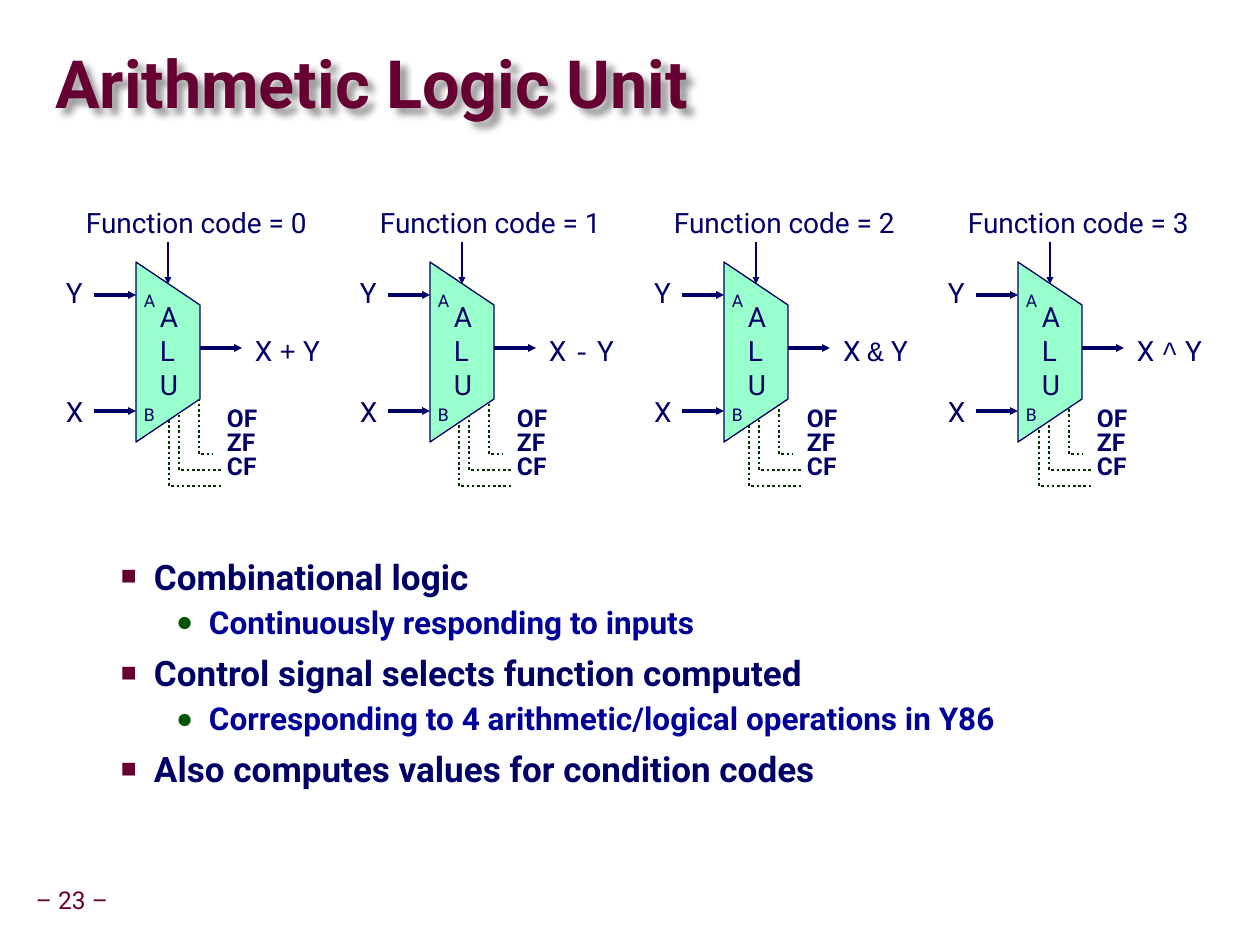
from dataclasses import dataclass

from lxml import etree
from pptx import Presentation
from pptx.dml.color import RGBColor
from pptx.enum.dml import MSO_LINE
from pptx.enum.shapes import MSO_CONNECTOR
from pptx.enum.text import MSO_ANCHOR, MSO_AUTO_SIZE, PP_ALIGN
from pptx.oxml.ns import qn
from pptx.util import Pt

PX = 914400 / 126
STRAIGHT = MSO_CONNECTOR.STRAIGHT
DOTTED = MSO_LINE.ROUND_DOT
LEFT, CENTER = PP_ALIGN.LEFT, PP_ALIGN.CENTER
TOP, MIDDLE = MSO_ANCHOR.TOP, MSO_ANCHOR.MIDDLE
FIT_SHAPE, FIXED = MSO_AUTO_SIZE.SHAPE_TO_FIT_TEXT, MSO_AUTO_SIZE.NONE

UNIT_PITCH, FLAG_PITCH = 294, 290
OPERATORS = ["+", "-", "&", "^"]
FLAGS = ["OF", "ZF", "CF"]
FLAG_WIRES = [(199, 212), (179, 222), (169, 222)]
POINTS = [
    (0, "Combinational logic"),
    (1, "Continuously responding to inputs"),
    (0, "Control signal selects function computed"),
    (1, "Corresponding to 4 arithmetic/logical operations in Y86"),
    (0, "Also computes values for condition codes"),
]


@dataclass(frozen=True)
class Level:
    size: int
    color: str
    bullet: str
    bullet_color: str
    bullet_percent: int
    indent: int
    before: float
    spacing: float


@dataclass(frozen=True)
class Theme:
    font: str = "Roboto"
    symbol_font: str = "Courier New"
    maroon: str = "660033"
    navy: str = "000066"
    green: str = "003300"
    mint: str = "99FFCC"
    title_size: int = 38
    label_size: int = 16
    small_size: int = 14
    port_size: int = 10
    thin: float = 0.75
    dotted: float = 1.5
    thick: float = 2.25
    levels: tuple = (
        Level(20, "000066", "■", "660033", 75, 101, 5.8, 1.0),
        Level(18, "000099", "●", "005400", 90, 156, 2, 1.07),
    )


def emu(px):
    return round(px * PX)


def add_node(parent, tag, **attributes):
    return etree.SubElement(parent, qn(tag), attributes)


class Deck:
    def __init__(self, theme):
        self.theme = theme
        self.deck = Presentation()
        self.deck.slide_width, self.deck.slide_height = emu(1260), emu(945)
        self.page = self.deck.slides.add_slide(self.deck.slide_layouts[1])
        self.shapes = self.page.shapes

    def start_group(self):
        self.shapes = self.page.shapes.add_group_shape().shapes

    def place(self, shape, left, top, width, height):
        shape.left, shape.top = emu(left), emu(top)
        shape.width, shape.height = emu(width), emu(height)

    def span(self, para, text, size, color, bold=False, font=None):
        run = para.add_run()
        run.text = text
        run.font.name = font or self.theme.font
        run.font.size, run.font.bold = Pt(size), bold
        run.font.color.rgb = RGBColor.from_string(color)

    def frame(self, shape, horizontal, vertical, anchor=TOP, wrap=True, fit=FIXED):
        frame = shape.text_frame
        frame.margin_left = frame.margin_right = emu(horizontal)
        frame.margin_top = frame.margin_bottom = emu(vertical)
        frame.vertical_anchor, frame.word_wrap, frame.auto_size = anchor, wrap, fit
        return frame

    def title(self, text, *area):
        shape = self.page.shapes.title
        self.place(shape, *area)
        para = self.frame(shape, 0, 0, MIDDLE).paragraphs[0]
        para.alignment, para.line_spacing = LEFT, 0.87
        self.span(para, text, self.theme.title_size, self.theme.maroon, True)
        effects = add_node(shape._element.spPr, "a:effectLst")
        shadow = add_node(effects, "a:outerShdw", blurRad="50800", dist="57150",
                          dir="2700000", algn="tl", rotWithShape="0")
        color = add_node(shadow, "a:srgbClr", val="000000")
        add_node(color, "a:alpha", val="40000")

    def bullets(self, points, *area):
        shape = self.page.placeholders[1]
        self.place(shape, *area)
        frame = self.frame(shape, 13, 6)
        for index, (depth, text) in enumerate(points):
            level = self.theme.levels[depth]
            para = frame.add_paragraph() if index else frame.paragraphs[0]
            para.level = depth
            props = para._p.get_or_add_pPr()
            props.set("marL", str(emu(level.indent)))
            props.set("indent", str(emu(-33)))
            color = add_node(props, "a:buClr")
            add_node(color, "a:srgbClr", val=level.bullet_color)
            add_node(props, "a:buSzPct", val=str(level.bullet_percent * 1000))
            add_node(props, "a:buChar", char=level.bullet)
            para.line_spacing = level.spacing
            para.space_before = Pt(level.before if index else 0)
            self.span(para, text, level.size, level.color, True)

    def label(self, paragraphs, area, size=None, color=None, bold=False,
              tight=False, wrap=False, align=LEFT, anchor=TOP):
        """Add a text box; each paragraph is a list of (text, font) spans."""
        box = self.shapes.add_textbox(*map(emu, area))
        frame = self.frame(box, 6 if tight else 13, 6, anchor, wrap, FIT_SHAPE)
        for index, spans in enumerate(paragraphs):
            para = frame.add_paragraph() if index else frame.paragraphs[0]
            para.alignment, para.line_spacing = align, 0.9 if tight else 1.0
            for text, font in spans:
                self.span(para, text, size or self.theme.label_size,
                          color or self.theme.navy, bold, font)

    def text(self, text, *area, **style):
        self.label([[(text, None)]], area, **style)

    def arrow(self, x1, y1, x2, y2, width):
        line = self.shapes.add_connector(STRAIGHT, *map(emu, (x1, y1, x2, y2)))
        line.line.width = Pt(width)
        line.line.color.rgb = RGBColor.from_string(self.theme.navy)
        add_node(line.line._get_or_add_ln(), "a:tailEnd", type="triangle", w="sm", len="sm")
        add_node(line._element.spPr, "a:effectLst")

    def outline(self, points, color, width, fill=None, dash=None):
        builder = self.shapes.build_freeform(*points[0], scale=PX)
        builder.add_line_segments(points[1:], close=fill is not None)
        shape = builder.convert_to_shape()
        shape.shadow.inherit = False
        if fill:
            shape.fill.solid()
            shape.fill.fore_color.rgb = RGBColor.from_string(fill)
        else:
            shape.fill.background()
        shape.line.width = Pt(width)
        shape.line.color.rgb = RGBColor.from_string(color)
        if dash:
            shape.line.dash_style = dash

    def condition_flags(self, x):
        theme = self.theme
        self.start_group()
        for index, (left, right) in enumerate(FLAG_WIRES):
            top = 367 + 16 * index
            corner = top + 87
            self.outline([(x + left, top), (x + left, corner), (x + right, corner)],
                         theme.green, theme.dotted, dash=DOTTED)
        for index, flag in enumerate(FLAGS):
            self.text(flag, x + 221, 400 + 24 * index, 47, 40,
                      size=theme.small_size, bold=True, tight=True)

    def logic_unit(self, x, code, operator):
        theme = self.theme
        self.start_group()
        self.arrow(x + 168, 242, x + 168, 284, theme.thin)
        self.outline([(x + 136, 262), (x + 200, 305), (x + 200, 399), (x + 136, 442)],
                     theme.navy, theme.thin, fill=theme.mint)
        self.label([[(letter, None)] for letter in "ALU"], (x + 147, 294, 53, 115), wrap=True)
        for name, port, name_top, wire, port_top in (
            ("Y", "A", 270, 295, 284), ("X", "B", 389, 411, 398)):
            self.text(name, x + 53, name_top, 44, 47)
            self.arrow(x + 94, wire, x + 136, wire, theme.thick)
            self.text(port, x + 131, port_top, 38, 34, size=theme.port_size)
        self.arrow(x + 200, 348, x + 242, 348, theme.thick)
        self.label([[("X ", None), (operator, theme.symbol_font), (" Y", None)]],
                   (x + 242, 328, 96, 47))
        self.text(f"Function code = {code}", x + 73, 200, 252, 47)

    def page_number(self, text, *area):
        self.shapes = self.page.shapes
        self.text(text, *area, size=self.theme.small_size, color=self.theme.maroon,
                  tight=True, align=CENTER, anchor=MIDDLE)


def main():
    deck = Deck(Theme())
    deck.title("Arithmetic Logic Unit", 55, 34, 1201, 107)
    deck.bullets(POINTS, 40, 549, 1145, 340)
    deck.page_number("– 23 –", 29, 882, 86, 40)
    for index in range(len(OPERATORS)):
        deck.condition_flags(FLAG_PITCH * index)
    for code, operator in enumerate(OPERATORS):
        deck.logic_unit(UNIT_PITCH * code, code, operator)
    deck.deck.save("out.pptx")


if __name__ == "__main__":
    main()
